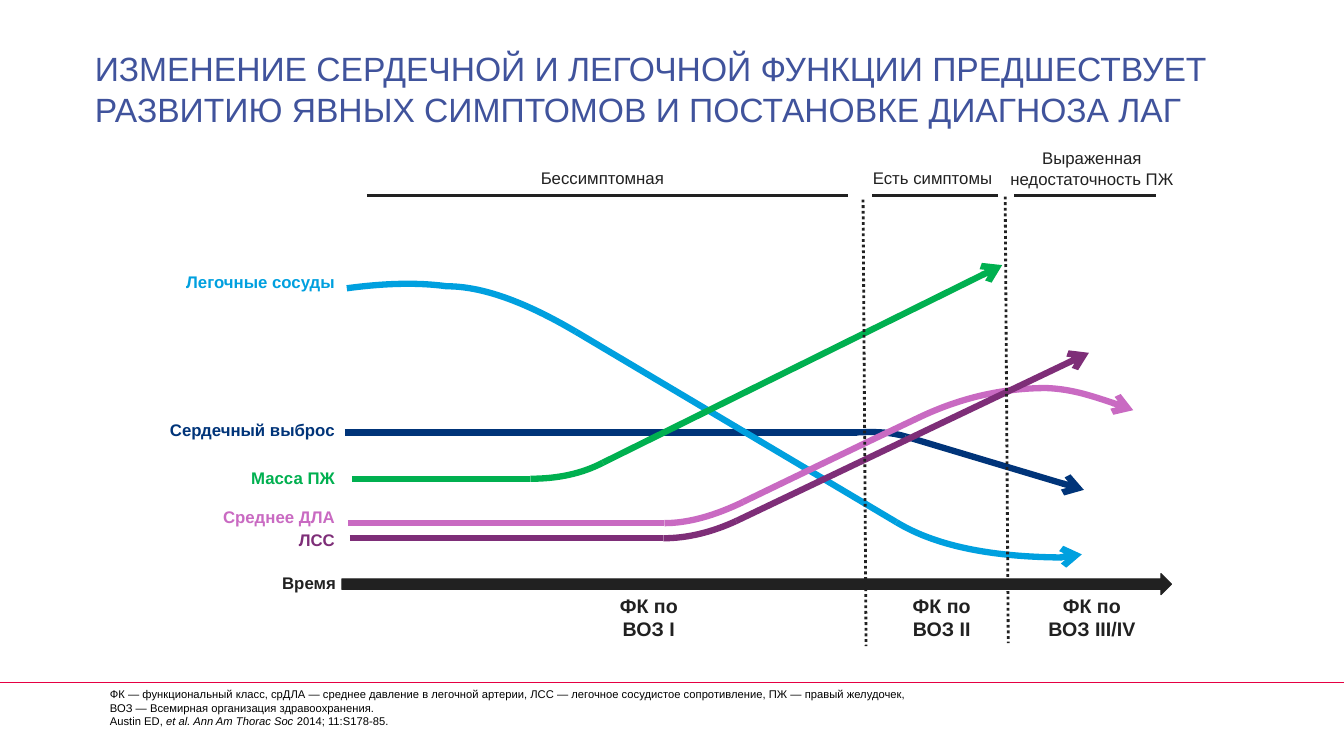
"""Build a slide on how heart and lung function change before PAH is diagnosed."""
from lxml import etree
from pptx import Presentation
from pptx.dml.color import RGBColor
from pptx.enum.dml import MSO_LINE
from pptx.enum.shapes import MSO_CONNECTOR, MSO_SHAPE
from pptx.enum.text import MSO_ANCHOR, MSO_AUTO_SIZE, PP_ALIGN
from pptx.oxml.ns import qn
from pptx.util import Pt

PX = 9144
FONT = "Arial"
STRAIGHT, DOWN_ARROW = MSO_CONNECTOR.STRAIGHT, MSO_SHAPE.DOWN_ARROW
DOTS = MSO_LINE.ROUND_DOT
LEFT, CENTER, RIGHT = PP_ALIGN.LEFT, PP_ALIGN.CENTER, PP_ALIGN.RIGHT
TOP, BOTTOM = MSO_ANCHOR.TOP, MSO_ANCHOR.BOTTOM
NO_AUTOFIT = MSO_AUTO_SIZE.NONE

INDIGO = RGBColor(0x40, 0x53, 0x9C)
BLACK = RGBColor(0x00, 0x00, 0x00)
INK = RGBColor(0x21, 0x21, 0x21)
RED = RGBColor(0xE5, 0x00, 0x43)
NAVY = RGBColor(0x00, 0x34, 0x79)
BLUE = RGBColor(0x00, 0xA0, 0xDF)
PINK = RGBColor(0xC9, 0x6A, 0xC2)
PURPLE = RGBColor(0x7E, 0x2E, 0x78)
GREEN = RGBColor(0x00, 0xB0, 0x50)

SLIDE_W, SLIDE_H = 1333, 750
FOOTER_Y = 677
LABEL_RIGHT, LABEL_H = 342, 35
PHASE_BAR_Y = 194
CLASS_TOP, CLASS_H = 584, 81
DIVIDER_H, DIVIDER_LEAN = 443, 3

prs = Presentation()
prs.slide_width, prs.slide_height = SLIDE_W * PX, SLIDE_H * PX
s = prs.slides.add_slide(prs.slide_layouts[1])


def add_stroke(points, color, width, arrow=False, dash=None):
    """Draw a line (start, end) or rounded bends (start, corner, end, corner, end...)."""
    if len(points) == 2:
        sp = s.shapes.add_connector(STRAIGHT, *(v * PX for pt in points for v in pt))
        etree.SubElement(sp._element.spPr, qn("a:effectLst"))
    else:
        fb = s.shapes.build_freeform(*points[0], scale=PX)
        for start, corner, end in zip(points[::2], points[1::2], points[2::2]):
            handles = [tuple(round((a + 2 * c) / 3) for a, c in zip(anchor, corner))
                       for anchor in (start, end)]
            fb.add_line_segments(handles + [end], close=False)
        sp = fb.convert_to_shape()
        sp.fill.background()
        sp.shadow.inherit = False
        segments = list(sp._element.iter(qn("a:lnTo")))
        for i in range(0, len(segments), 3):
            curve = etree.SubElement(segments[i].getparent(), qn("a:cubicBezTo"))
            for segment in segments[i:i + 3]:
                curve.append(segment[0])
                segment.getparent().remove(segment)
    sp.line.color.rgb = color
    sp.line.width = Pt(width)
    if dash:
        sp.line.dash_style = dash
    if arrow:
        etree.SubElement(sp.line._get_or_add_ln(), qn("a:tailEnd"), type="arrow")


def format_text(sp, box, size, color, align, bold=False):
    """Place a text shape and format its paragraphs."""
    sp.left, sp.top, sp.width, sp.height = (v * PX for v in box)
    tf = sp.text_frame
    tf.word_wrap = True
    tf.auto_size = NO_AUTOFIT
    for p in tf.paragraphs:
        p.alignment = align
        p.space_before = Pt(0)
        for r in p.runs:
            r.font.name, r.font.size, r.font.bold = FONT, Pt(size), bold
            r.font.color.rgb = color


title, notes = s.shapes.title, s.placeholders[1]
title.text_frame.text = ("ИЗМЕНЕНИЕ СЕРДЕЧНОЙ И ЛЕГОЧНОЙ ФУНКЦИИ ПРЕДШЕСТВУЕТ "
                         "РАЗВИТИЮ ЯВНЫХ СИМПТОМОВ И ПОСТАНОВКЕ ДИАГНОЗА ЛАГ")
format_text(title, (94, 76, 1126, 52), 24, INDIGO, LEFT)

tf = notes.text_frame
tf.text = ("ФК — функциональный класс, срДЛА — среднее давление в легочной артерии, "
           "ЛСС — легочное сосудистое сопротивление, ПЖ — правый желудочек, \v"
           "ВОЗ — Всемирная организация здравоохранения.")
p = tf.add_paragraph()
for text, italic in [("Austin ED, ", False),
                     ("et al. Ann Am Thorac Soc ", True),
                     ("2014; 11:S178-85.", False)]:
    r = p.add_run()
    r.text = text
    r.font.italic = italic
format_text(notes, (109, 682, 915, 53), 8, BLACK, LEFT)
for p in tf.paragraphs:
    pPr = p._p.get_or_add_pPr()
    pPr.set("marL", "0")
    pPr.set("indent", "0")
    etree.SubElement(pPr, qn("a:buNone"))

for sp, anchor in [(title, BOTTOM), (notes, TOP)]:
    tf = sp.text_frame
    tf.vertical_anchor = anchor
    tf.margin_left = tf.margin_top = tf.margin_right = tf.margin_bottom = 0

add_stroke([(0, FOOTER_Y), (SLIDE_W, FOOTER_Y)], RED, 1)

labels = [("Время", (229, 563, 114, LABEL_H), 12, INK, RIGHT, True)]

trends = [
    ("Сердечный выброс", NAVY, 138, 411, (342, 429),
     [[(850, 429)], [(879, 427), (898, 433)], [(1075, 486)]]),
    ("Легочные сосуды", BLUE, 143, 265, (344, 286),
     [[(400, 278), (443, 284), (495, 284), (571, 329)],
      [(889, 518)],
      [(946, 552), (1048, 553), (1060, 553), (1073, 550)]]),
    ("Среднее ДЛА", PINK, 209, 498, (345, 519),
     [[(659, 519)],
      [(694, 519), (737, 498)],
      [(824, 456), (912, 414), (972, 385), (1038, 385), (1072, 387), (1124, 407)]]),
    ("ЛСС", PURPLE, 209, 521, (347, 534),
     [[(658, 534)], [(694, 534), (730, 517)], [(1080, 350)]]),
    ("Масса ПЖ", GREEN, 230, 459, (349, 475),
     [[(526, 475)], [(566, 475), (598, 459)], [(994, 263)]]),
]
for name, color, left, top, start, strokes in trends:
    for stroke in strokes:
        add_stroke([start] + stroke, color, 4.5, arrow=stroke is strokes[-1])
        start = stroke[-1]
    box = (left, top, LABEL_RIGHT - left, LABEL_H)
    labels.append((name, box, 12, color, RIGHT, True))

phases = [
    ("Бессимптомная", (489, 161, 217), (364, 841), "ФК по ВОЗ I", (599, 89)),
    ("Есть симптомы", (820, 161, 210), (865, 990), "ФК по ВОЗ II", (877, 114)),
    ("Выраженная недостаточность ПЖ", (981, 142, 204), (1006, 1147),
     "ФК по ВОЗ III/IV", (1028, 110)),
]
for phase, phase_box, (bar_start, bar_end), who_class, (left, width) in phases:
    add_stroke([(bar_start, PHASE_BAR_Y), (bar_end, PHASE_BAR_Y)], INK, 2.25)
    labels.append((phase, (*phase_box, LABEL_H), 12, INK, CENTER, False))
    class_box = (left, CLASS_TOP, width, CLASS_H)
    labels.append((who_class, class_box, 14, INK, CENTER, True))

time_axis = s.shapes.add_shape(DOWN_ARROW, 740 * PX, 168 * PX, 21 * PX, 823 * PX)
time_axis.rotation = 270
time_axis.shadow.inherit = False
time_axis.fill.solid()
time_axis.fill.fore_color.rgb = INK
time_axis.line.color.rgb = INK
time_axis.line.width = Pt(0.75)

for x, y in [(856, 198), (997, 195)]:
    add_stroke([(x, y), (x + DIVIDER_LEAN, y + DIVIDER_H)], INK, 2, dash=DOTS)

for text, box, size, color, align, bold in labels:
    label = s.shapes.add_textbox(0, 0, 0, 0)
    label.text_frame.text = text
    format_text(label, box, size, color, align, bold)

prs.save("out.pptx")
